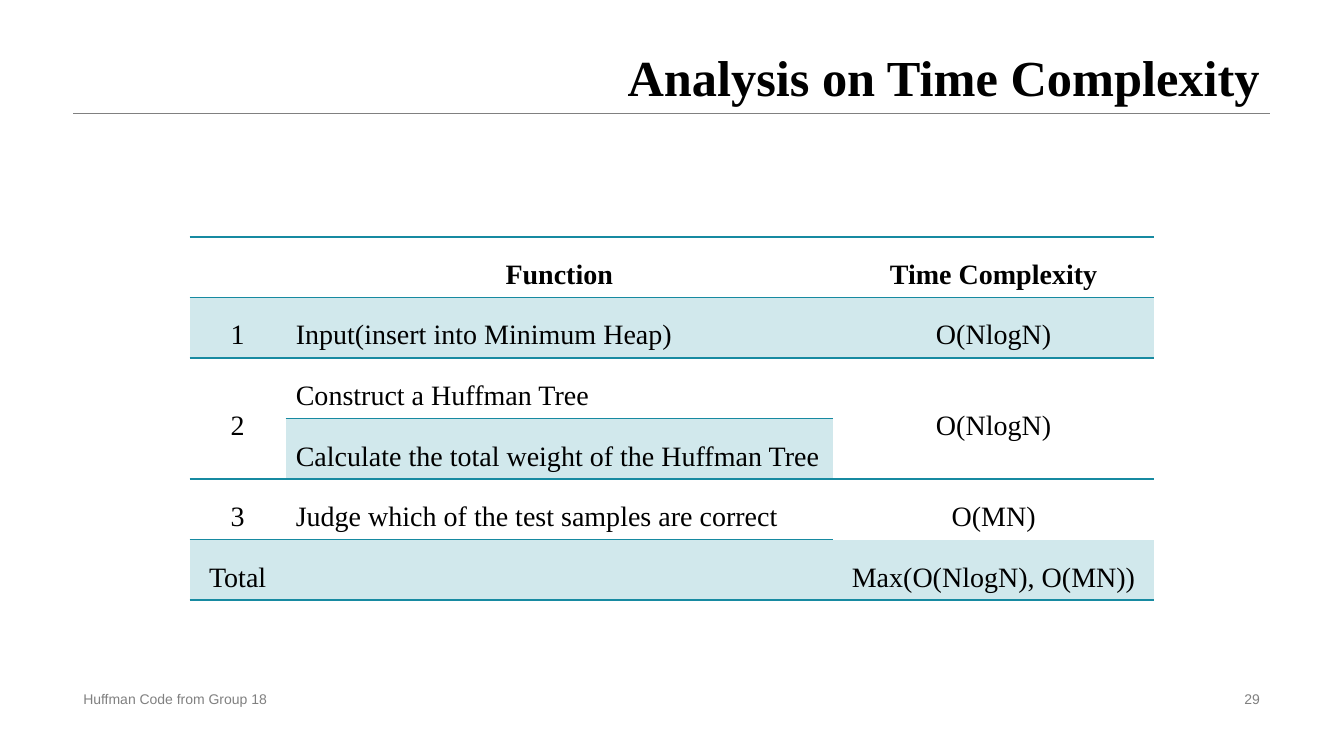
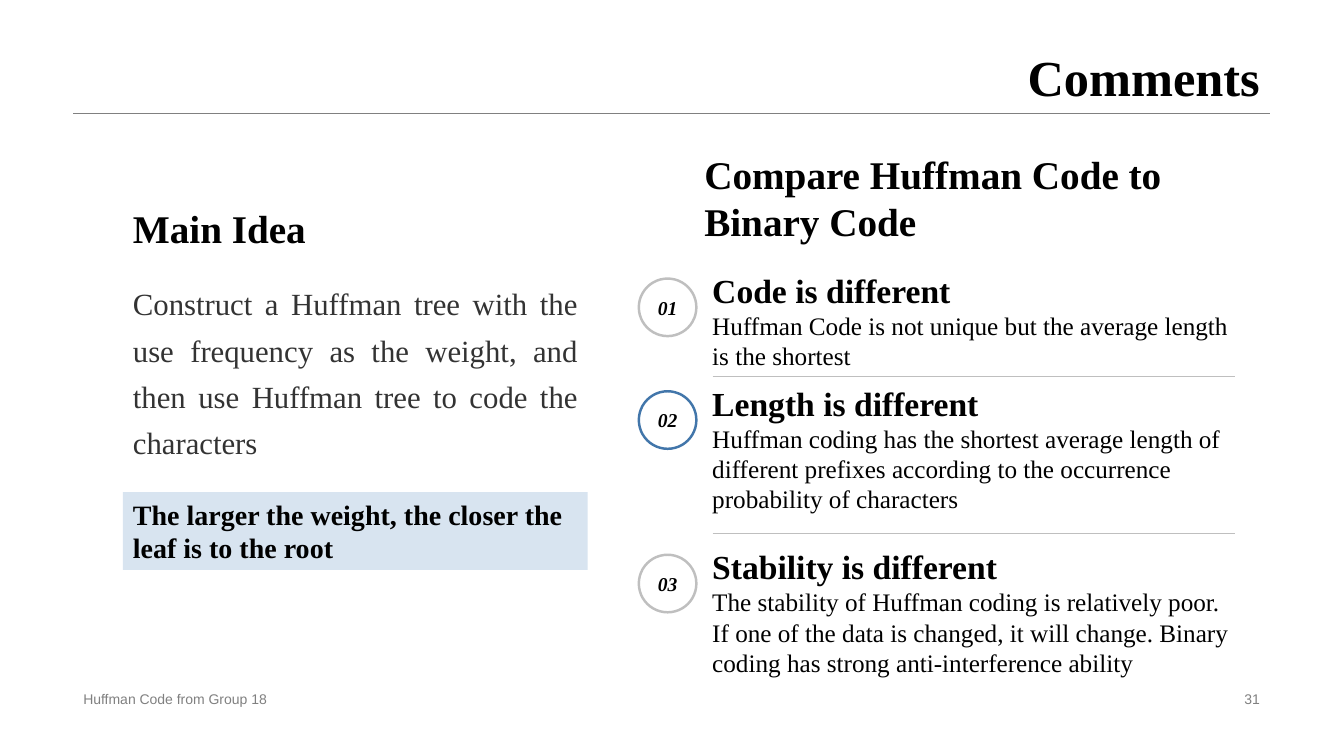
from typing import NamedTuple

from pptx import Presentation
from pptx.dml.color import RGBColor
from pptx.enum.shapes import MSO_CONNECTOR, MSO_SHAPE
from pptx.enum.text import MSO_ANCHOR as Anchor, PP_ALIGN as Align
from pptx.oxml.ns import qn
from pptx.util import Cm, Pt
from lxml.etree import SubElement

SERIF, SANS = "Times New Roman", "Arial"
BLACK = RGBColor(0x00, 0x00, 0x00)
DARK = RGBColor(0x33, 0x33, 0x33)
GRAY = RGBColor(0x80, 0x80, 0x80)
SILVER = RGBColor(0xBF, 0xBF, 0xBF)
BLUE = RGBColor(0x42, 0x76, 0xAA)
PALE_BLUE = RGBColor(0xD8, 0xE4, 0xF0)
TEAL = RGBColor(0x17, 0x8A, 0xA1)
PALE_TEAL = RGBColor(0xD1, 0xE8, 0xEC)

LEFT, RIGHT = 1.85, 32.0
RULE_Y = 2.84
FOOTER = "Huffman Code from Group 18"


class Box(NamedTuple):
    """Left, top, width and height in centimetres."""
    x: float
    y: float
    w: float
    h: float

    def lengths(self) -> tuple:
        return tuple(Cm(v) for v in self)


class Style(NamedTuple):
    size: float
    bold: bool = False
    color: RGBColor = BLACK
    align: Align = Align.LEFT
    spacing: float = 1.0
    font: str = SERIF
    italic: bool = False


class Point(NamedTuple):
    number: str
    y: float
    heading: str
    body: str
    ring: RGBColor


TITLE = Style(36, True, align=Align.RIGHT, spacing=0.9)
FOOT = Style(10, color=GRAY, font=SANS)
HEADING = Style(28, True)
HEADER_CELL = Style(20, True, align=Align.CENTER, spacing=1.5)
BODY_CELL = HEADER_CELL._replace(bold=False)

COLUMNS = (2.42, 13.79, 8.1)
ROW_HEIGHT = 1.43
ROWS = (
    ("", "Function", "Time Complexity"),
    ("1", "Input(insert into Minimum Heap)", "O(NlogN)"),
    ("2", "Construct a Huffman Tree", "O(NlogN)"),
    ("", "Calculate the total weight of the Huffman Tree", ""),
    ("3", "Judge which of the test samples are correct", "O(MN)"),
    ("Total", "", "Max(O(NlogN), O(MN))"),
)
SHADED = {(r, c) for r in (1, 5) for c in range(3)} | {(3, 1)}
# Horizontal edges left open, as (edge, column); edge 0 is the top.
OPEN_EDGES = {(3, 0), (3, 2), (5, 2)}

POINTS = (
    Point("01", 5.82, "Code is different",
          "Huffman Code is not unique but the average length is the shortest",
          SILVER),
    Point("02", 8.66, "Length is different",
          "Huffman coding has the shortest average length of different prefixes "
          "according to the occurrence probability of characters", BLUE),
    Point("03", 12.78, "Stability is different",
          "The stability of Huffman coding is relatively poor. If one of the "
          "data is changed, it will change. Binary coding has strong "
          "anti-interference ability", SILVER),
)
DIVIDERS = (9.47, 13.44)


def write(tf, text: str, style: Style) -> None:
    p = tf.paragraphs[0]
    p.text = text
    p.alignment = style.align
    p.line_spacing = style.spacing
    p.font.name = style.font
    p.font.size = Pt(style.size)
    p.font.bold = style.bold
    p.font.italic = style.italic
    p.font.color.rgb = style.color


def add_text(s, box: Box, text: str, style: Style,
             anchor: Anchor = Anchor.TOP) -> None:
    tf = s.shapes.add_textbox(*box.lengths()).text_frame
    tf.word_wrap = True
    tf.vertical_anchor = anchor
    write(tf, text, style)


def add_shape(s, kind: MSO_SHAPE, box: Box):
    """Add a shape without fill, line or shadow."""
    sp = s.shapes.add_shape(kind, *box.lengths())
    sp.shadow.inherit = False
    sp.fill.background()
    sp.line.fill.background()
    return sp


def add_rule(s, x1: float, x2: float, y: float, color: RGBColor) -> None:
    line = s.shapes.add_connector(
        MSO_CONNECTOR.STRAIGHT, Cm(x1), Cm(y), Cm(x2), Cm(y))
    line.line.color.rgb = color
    line.line.width = Pt(0.25)
    SubElement(line._element.spPr, qn("a:effectLst"))


def add_page(prs, title: str, number: int):
    """Add a slide with the shared title, rule and footer."""
    s = prs.slides.add_slide(prs.slide_layouts[6])
    add_rule(s, LEFT, RIGHT, RULE_Y, GRAY)
    add_text(s, Box(LEFT, 0, RIGHT - LEFT, RULE_Y), title, TITLE, Anchor.BOTTOM)
    add_text(s, Box(LEFT, 17.32, 11.5, 0.58), FOOTER, FOOT, Anchor.MIDDLE)
    add_text(s, Box(RIGHT - 8.08, 17.32, 8.08, 0.58), str(number),
             FOOT._replace(align=Align.RIGHT), Anchor.MIDDLE)
    return s


def set_border(cell, side: str, visible: bool) -> None:
    ln = SubElement(cell._tc.get_or_add_tcPr(), qn(f"a:ln{side}"),
                    w=str(Pt(1)))
    if visible:
        fill = SubElement(ln, qn("a:solidFill"))
        SubElement(fill, qn("a:srgbClr"), val=str(TEAL))
    else:
        SubElement(ln, qn("a:noFill"))


def format_cell(cell, row: int, col: int) -> None:
    for side in "LR":
        set_border(cell, side, False)
    for side, edge in (("T", row), ("B", row + 1)):
        set_border(cell, side, (edge, col) not in OPEN_EDGES)
    if (row, col) in SHADED:
        cell.fill.solid()
        cell.fill.fore_color.rgb = PALE_TEAL
    else:
        cell.fill.background()
    cell.vertical_anchor = Anchor.MIDDLE
    style = BODY_CELL if row else HEADER_CELL
    if row and col == 1:
        style = style._replace(align=Align.LEFT)
    write(cell.text_frame, ROWS[row][col], style)


def add_complexity_table(s) -> None:
    box = Box(4.78, 5.97, sum(COLUMNS), ROW_HEIGHT * len(ROWS))
    table = s.shapes.add_table(
        len(ROWS), len(COLUMNS), *box.lengths()).table
    table.first_row = table.horz_banding = False
    for column, width in zip(table.columns, COLUMNS):
        column.width = Cm(width)
    for r, row in enumerate(table.rows):
        row.height = Cm(ROW_HEIGHT)
        for c, cell in enumerate(row.cells):
            format_cell(cell, r, c)
    for c in (0, 2):
        table.cell(2, c).merge(table.cell(3, c))


def add_point(s, point: Point) -> None:
    add_text(s, Box(17.7, point.y, 13.69, 2.13), point.heading,
             Style(24, True, spacing=1.3), Anchor.BOTTOM)
    add_text(s, Box(17.7, point.y + 1.88, 13.69, 1.14), point.body, Style(18))
    ring = add_shape(s, MSO_SHAPE.OVAL, Box(16.1, point.y + 1.2, 1.45, 1.45))
    ring.line.color.rgb = point.ring
    ring.line.width = Pt(1.75)
    ring.text_frame.word_wrap = False
    ring.text_frame.vertical_anchor = Anchor.MIDDLE
    write(ring.text_frame, point.number,
          Style(14, True, align=Align.CENTER, italic=True))


def add_main_idea(s) -> None:
    add_text(s, Box(3.1, 5.03, 13.89, 1.45), "Main Idea", HEADING)
    add_text(s, Box(3.1, 6.83, 11.71, 4.85),
             "Construct a Huffman tree with the use frequency as the weight, "
             "and then use Huffman tree to code the characters",
             Style(22, color=DARK, align=Align.JUSTIFY, spacing=1.25))
    band = add_shape(s, MSO_SHAPE.RECTANGLE, Box(3.1, 12.4, 11.71, 1.96))
    band.fill.solid()
    band.fill.fore_color.rgb = PALE_BLUE
    band.text_frame.vertical_anchor = Anchor.TOP
    write(band.text_frame,
          "The larger the weight, the closer the leaf is to the root",
          Style(20, True))


def add_comparison(s) -> None:
    add_text(s, Box(17.5, 3.66, 13.89, 2.64),
             "Compare Huffman Code to Binary Code", HEADING)
    for y in DIVIDERS:
        add_rule(s, 17.96, 31.12, y, SILVER)
    for point in POINTS:
        add_point(s, point)


def main() -> None:
    prs = Presentation()
    prs.slide_width, prs.slide_height = Cm(33.87), Cm(19.05)
    add_complexity_table(add_page(prs, "Analysis on Time Complexity", 29))
    comments = add_page(prs, "Comments", 31)
    add_main_idea(comments)
    add_comparison(comments)
    prs.save("out.pptx")


if __name__ == "__main__":
    main()
